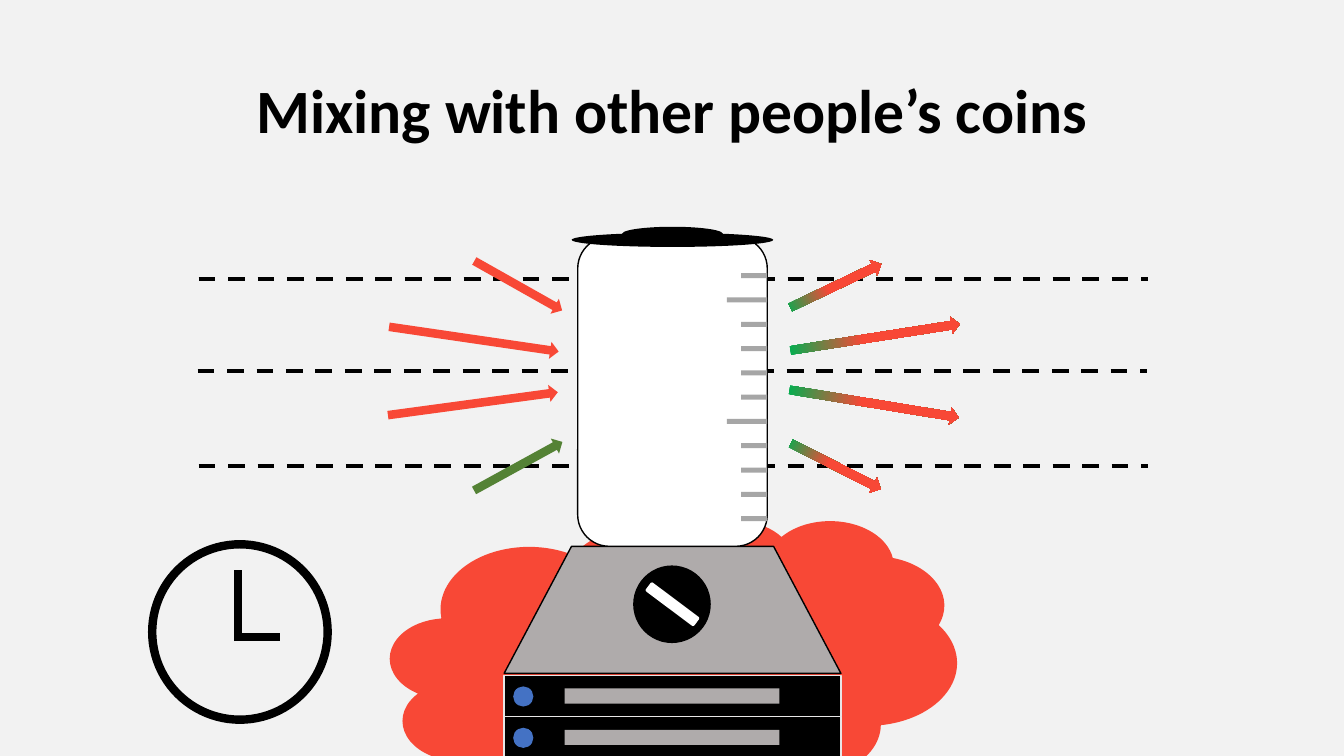
from pptx import Presentation
from pptx.dml.color import RGBColor
from pptx.enum.dml import MSO_LINE
from pptx.enum.shapes import MSO_CONNECTOR, MSO_SHAPE
from pptx.enum.text import MSO_ANCHOR, PP_ALIGN
from pptx.oxml.ns import qn
from pptx.util import Inches, Pt
from lxml.etree import SubElement

COLORS = {
    "background": "F2F2F2",
    "black": "000000",
    "white": "FFFFFF",
    "red": "F84836",
    "green": "548235",
    "bright green": "00B050",
    "blue": "4472C4",
    "gray": "AFABAB",
    "tick": "A6A6A6",
    "pale": "E7E6E6",
}


def rgb(name):
    return RGBColor.from_string(COLORS[name])


def draw(parent, kind, left, top, width, height, fill=None, line=None,
         line_width=1, rotation=0):
    """Add a preset shape; fill is a color name, a pair for a gradient, or None."""
    shape = parent.shapes.add_shape(
        kind, Inches(left), Inches(top), Inches(width), Inches(height))
    shape.shadow.inherit = False
    shape.rotation = rotation
    if fill is None:
        shape.fill.background()
    elif isinstance(fill, tuple):
        shape.fill.gradient()
        shape.fill.gradient_angle = 0
        for stop, color, position in zip(shape.fill.gradient_stops, fill, (0, 0.43)):
            stop.color.rgb = rgb(color)
            stop.position = position
    else:
        shape.fill.solid()
        shape.fill.fore_color.rgb = rgb(fill)
    if line:
        shape.line.color.rgb = rgb(line)
        shape.line.width = Pt(line_width)
    else:
        shape.line.fill.background()


presentation = Presentation()
presentation.slide_width = Inches(13.33)
presentation.slide_height = Inches(7.5)
slide = presentation.slides.add_slide(presentation.slide_layouts[5])
slide.background.fill.solid()
slide.background.fill.fore_color.rgb = rgb("background")

# Title
title = slide.shapes.title
title.left, title.top = Inches(0.92), Inches(0.4)
title.width, title.height = Inches(11.5), Inches(1.45)
title.text_frame.vertical_anchor = MSO_ANCHOR.MIDDLE
heading = title.text_frame.paragraphs[0]
heading.text = "Mixing with other people’s coins"
heading.alignment = PP_ALIGN.CENTER
heading.line_spacing = 0.9
heading.font.name = "Calibri"
heading.font.size = Pt(44)
heading.font.bold = True
heading.font.color.rgb = rgb("black")

# Cloud and blender base with its dial
draw(slide, MSO_SHAPE.CLOUD, 3.87, 5.16, 5.62, 2.91, "red")
draw(slide, MSO_SHAPE.FLOWCHART_MANUAL_OPERATION, 5, 5.42, 3.34, 1.26,
     "gray", "black", rotation=180)
draw(slide, MSO_SHAPE.OVAL, 6.28, 5.61, 0.77, 0.77, "black")
draw(slide, MSO_SHAPE.FLOWCHART_ALTERNATE_PROCESS, 6.37, 5.94, 0.6, 0.11,
     "white", rotation=36.8)
draw(slide, MSO_SHAPE.OVAL, 6.17, 2.25, 1, 0.14, "black")

# Server units
for unit_top in (6.7, 7.11):
    draw(slide, MSO_SHAPE.RECTANGLE, 5, unit_top, 3.34, 0.41, "black", "pale")
    draw(slide, MSO_SHAPE.OVAL, 5.09, unit_top + 0.11, 0.2, 0.2, "blue")
    draw(slide, MSO_SHAPE.RECTANGLE, 5.6, unit_top + 0.13, 2.13, 0.15, "gray")

# Clock face, then dashed timelines and clock hands
clock = slide.shapes.add_group_shape()
draw(clock, MSO_SHAPE.OVAL, 1.51, 5.4, 1.74, 1.74, line="black", line_width=6)
for parent, x1, y1, x2, y2, width, dash in (
    (slide, 1.97, 4.62, 11.39, 4.62, 3, MSO_LINE.DASH),
    (slide, 1.96, 3.68, 11.38, 3.68, 3, MSO_LINE.DASH),
    (slide, 1.97, 2.77, 11.39, 2.77, 3, MSO_LINE.DASH),
    (clock, 2.36, 6.32, 2.78, 6.32, 6, None),
    (clock, 2.36, 6.36, 2.36, 5.65, 6, None),
):
    stroke = parent.shapes.add_connector(
        MSO_CONNECTOR.STRAIGHT, Inches(x1), Inches(y1), Inches(x2), Inches(y2))
    stroke.line.color.rgb = rgb("black")
    stroke.line.width = Pt(width)
    stroke.line.dash_style = dash
    SubElement(stroke._element.spPr, qn("a:effectLst"))

# Jar with its scale and lid
draw(slide, MSO_SHAPE.FLOWCHART_ALTERNATE_PROCESS, 5.73, 2.35, 1.88, 3.07,
     "white", "black")
for tick in range(11):
    tick_length = 0.4 if tick % 5 == 1 else 0.26
    draw(slide, MSO_SHAPE.RECTANGLE, 7.61 - tick_length, 2.71 + 0.241 * tick,
         tick_length, 0.05, "tick")
draw(slide, MSO_SHAPE.OVAL, 5.67, 2.31, 2, 0.14, "black")

# Coins flowing in and out
mixed = ("bright green", "red")
for left, top, length, rotation, fill in (
    (4.64, 2.75, 1, 29.4, "red"),
    (4.64, 4.54, 1, -28.8, "green"),
    (3.85, 3.28, 1.7, 8.3, "red"),
    (3.84, 3.92, 1.7, -7.7, "red"),
    (7.79, 2.75, 1, -25.5, mixed),
    (7.79, 4.54, 1, 27, mixed),
    (7.83, 3.26, 1.7, -8.9, mixed),
    (7.82, 3.92, 1.7, 9.3, mixed),
):
    draw(slide, MSO_SHAPE.RIGHT_ARROW, left, top, length, 0.17, fill,
         rotation=rotation)

presentation.save("out.pptx")
